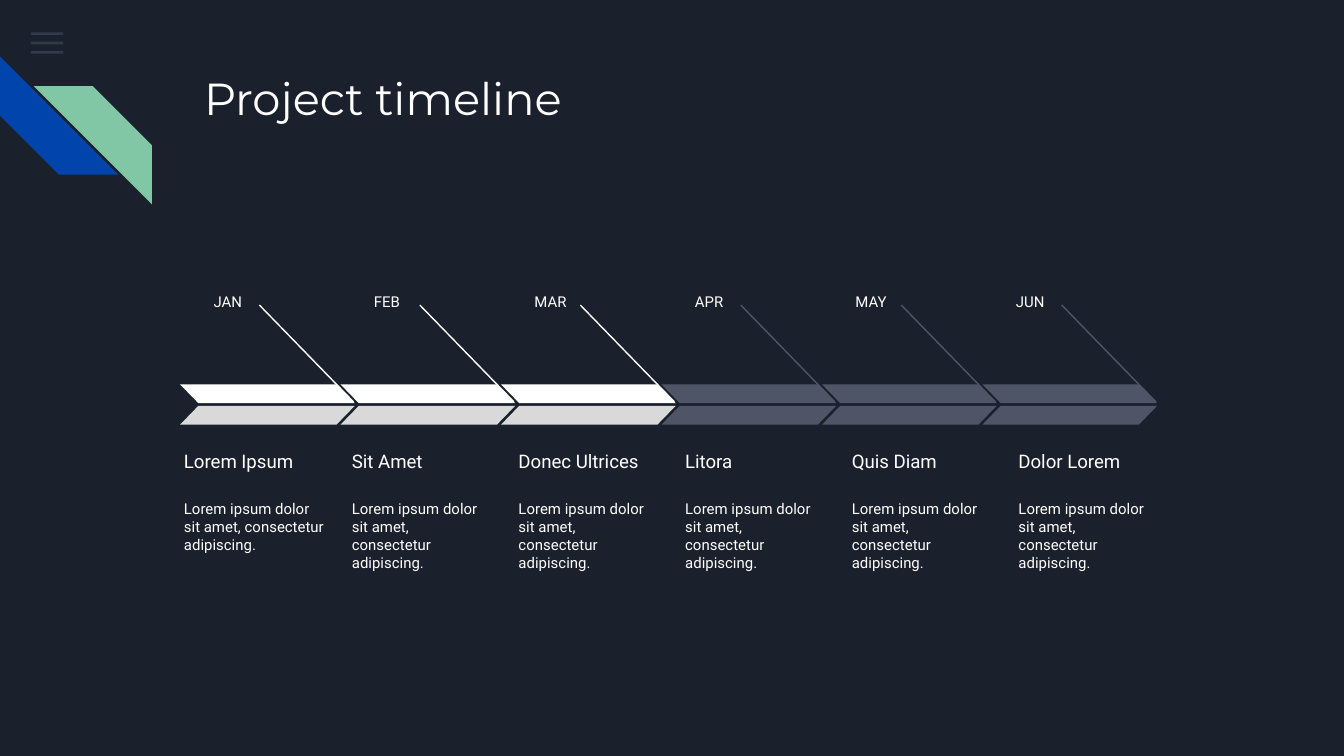
import pptx
import pptx.util
import pptx.dml.color
import pptx.enum.shapes
import pptx.enum.text
import lxml.etree

Inches = pptx.util.Inches
Kind = pptx.enum.shapes.MSO_SHAPE
Anchor = pptx.enum.text.MSO_ANCHOR
RGB = pptx.dml.color.RGBColor.from_string

theme = {
    "back": "1B212C", "text": "FFFFFF", "menu": "55688B",
    "blue": "0145AC", "green": "82C7A5",
    "done": ("FFFFFF", "D9D9D9"), "next": ("4E5567", "4E5567"),
    "title": 24, "head": 10, "body": 8,
}

# Page in 16:9
deck = pptx.Presentation()
deck.slide_width, deck.slide_height = Inches(10), Inches(10 * 9 / 16)
slide = deck.slides.add_slide(deck.slide_layouts[6])
slide.background.fill.solid()
slide.background.fill.fore_color.rgb = RGB(theme["back"])


def add_shape(kind, left, top, width, height, color, adjust=None, flip=False):
    shape = slide.shapes.add_shape(
        kind, Inches(left), Inches(top), Inches(width), Inches(height))
    shape.shadow.inherit = False
    shape.fill.solid()
    shape.fill.fore_color.rgb = RGB(color)
    shape.line.fill.background()
    if adjust is not None:
        shape.adjustments[0] = adjust
    if flip:
        shape.element.spPr.xfrm.set("flipH", "1")
    return shape


def add_text(words, left, top, width, height, size, font="Roboto",
             anchor=Anchor.TOP, after=0):
    box = slide.shapes.add_textbox(
        Inches(left), Inches(top), Inches(width), Inches(height))
    frame = box.text_frame
    frame.word_wrap = True
    frame.vertical_anchor = anchor
    frame.margin_left = frame.margin_right = Inches(0.1)
    frame.margin_top = frame.margin_bottom = Inches(0.1)
    para = frame.paragraphs[0]
    para.space_after = pptx.util.Pt(after)
    run = para.add_run()
    run.text = words
    run.font.name = font
    run.font.size = pptx.util.Pt(size)
    run.font.color.rgb = RGB(theme["text"])


# Menu bars, mostly see-through
for row in range(3):
    bar = add_shape(Kind.RECTANGLE, 0.23, 0.24 + 0.07 * row, 0.24, 0.02,
                    theme["menu"])
    tint = bar.element.spPr.find(".//" + pptx.oxml.ns.qn("a:srgbClr"))
    alpha = lxml.etree.SubElement(tint, pptx.oxml.ns.qn("a:alpha"))
    alpha.set("val", "36000")

# Corner stripes
stripe = add_shape(Kind.DIAGONAL_STRIPE, 0, 0.42, 0.88, 0.88,
                   theme["blue"], 0.5)
stripe.rotation = 270
add_shape(Kind.DIAGONAL_STRIPE, 0.25, 0.64, 0.88, 0.88,
          theme["green"], 0.5, flip=True)

# Title
add_text("Project timeline", 1.42, 0.43, 7.7, 1, theme["title"], "Montserrat")

# Timeline: month, heading, note, pointer and arrow for each step
steps = [
    ("JAN", "Lorem Ipsum", "done"),
    ("FEB", "Sit Amet", "done"),
    ("MAR", "Donec Ultrices", "done"),
    ("APR", "Litora", "next"),
    ("MAY", "Quis Diam", "next"),
    ("JUN", "Dolor Lorem", "next"),
]
note = "Lorem ipsum dolor sit amet, consectetur adipiscing."
pitch = 5.97 / 5

for i, (month, head, state) in enumerate(steps):
    upper, lower = theme[state]
    shift = pitch * i

    # Words; the first column is slightly wider
    left, width = (1.28 + 1.24 * i, 1.24) if i else (1.27, 1.28)
    add_text(month, 1.49 + shift, 2.11, 0.59, 0.23, theme["body"], after=16)
    add_text(head, left, 3.16, width, 0.44, theme["head"],
             anchor=Anchor.BOTTOM)
    add_text(note, left, 3.62, width, 0.73, theme["body"], after=16)

    # Pointer
    line = slide.shapes.add_connector(
        pptx.enum.shapes.MSO_CONNECTOR.STRAIGHT,
        Inches(1.93 + shift), Inches(2.27),
        Inches(2.63 + shift), Inches(2.99))
    line.line.color.rgb = RGB(upper)
    line.line.width = pptx.util.Pt(0.75)
    lxml.etree.SubElement(line.element.spPr, pptx.oxml.ns.qn("a:effectLst"))

    # Arrow halves
    add_shape(Kind.PARALLELOGRAM, 1.34 + shift, 2.86, 1.3, 0.14,
              upper, 0.97, flip=True)
    add_shape(Kind.PARALLELOGRAM, 1.34 + shift, 3.02, 1.3, 0.14, lower, 0.97)

deck.save("out.pptx")
